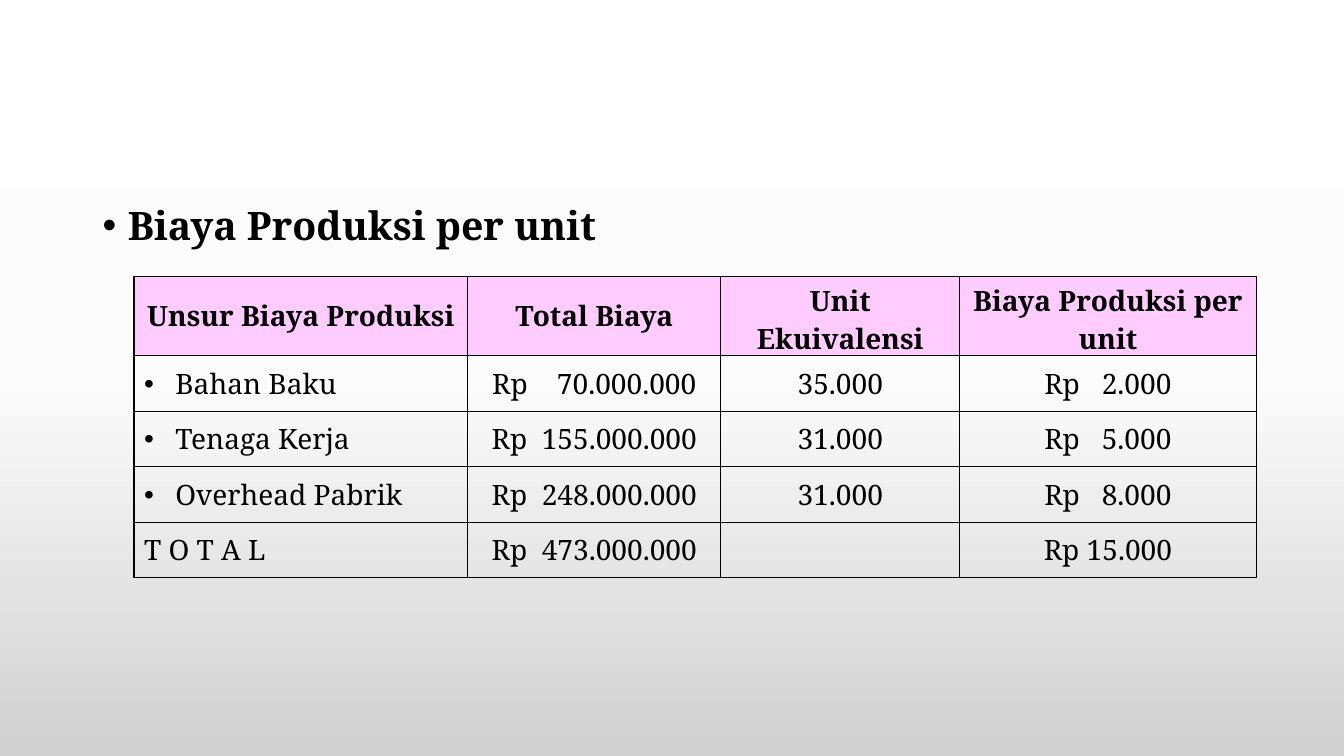
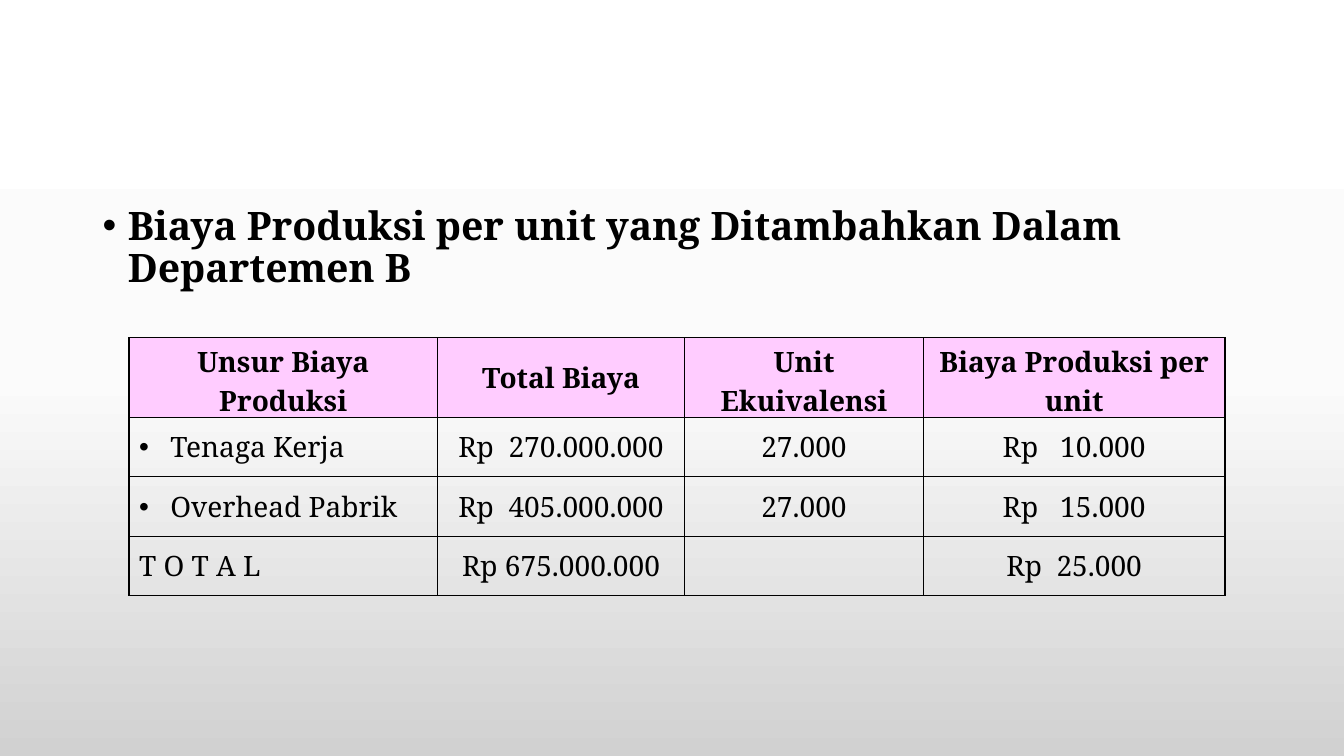
from lxml import etree
from pptx import Presentation
from pptx import util as u
from pptx.dml.color import RGBColor
from pptx.enum import text
from pptx.oxml import ns

PX = 9144  # EMU in one px, 100 px to the inch
FONT = "Noto Serif"
COLORS = {
    "ink": "000000",
    "header": "FFCCFF",
    "sky_top": "FFFFFF",
    "sky_middle": "FBFBFB",
    "sky_bottom": "D1D1D1",
}
HEADING_BOX = (92, 200, 1150, 476)
HEADER_HEIGHT = 79
HEADERS = ["Unsur Biaya Produksi", "Total Biaya", "Unit Ekuivalensi", "Biaya Produksi per unit"]

SLIDES = [
    {
        "heading": "Biaya Produksi per unit",
        "origin": (133, 274),
        "columns": [331, 251, 237, 294],
        "row_height": 55,
        "costs": [
            ["Bahan Baku", "Rp    70.000.000", "35.000", "Rp   2.000"],
            ["Tenaga Kerja", "Rp  155.000.000", "31.000", "Rp   5.000"],
            ["Overhead Pabrik", "Rp  248.000.000", "31.000", "Rp   8.000"],
        ],
        "total": ["T O T A L", "Rp  473.000.000", "", "Rp 15.000"],
    },
    {
        "heading": "Biaya Produksi per unit yang Ditambahkan Dalam Departemen B",
        "origin": (128, 335),
        "columns": [306, 245, 237, 299],
        "row_height": 59,
        "costs": [
            ["Tenaga Kerja", "Rp  270.000.000", "27.000", "Rp   10.000"],
            ["Overhead Pabrik", "Rp  405.000.000", "27.000", "Rp   15.000"],
        ],
        "total": ["T O T A L", "Rp 675.000.000", "", "Rp  25.000"],
    },
]


def px(*lengths):
    return [u.Emu(length * PX) for length in lengths]


def add_element(parent, tag, **attributes):
    return etree.SubElement(parent, ns.qn(tag), attributes)


def set_background(master):
    """Give every slide the vertical three-stop gradient."""
    fill = master.background.fill
    fill.gradient()
    gradient = master.element.find(".//" + ns.qn("a:gradFill"))
    for child in list(gradient):
        gradient.remove(child)
    stops = add_element(gradient, "a:gsLst")
    for percent, name in ((0, "sky_top"), (50, "sky_middle"), (100, "sky_bottom")):
        stop = add_element(stops, "a:gs", pos=str(percent * 1000))
        add_element(stop, "a:srgbClr", val=COLORS[name])
    add_element(gradient, "a:lin", ang="5400000", scaled="0")


def write(frame, words, size=20, bold=False, align=text.PP_ALIGN.LEFT, hanging=0,
          line_spacing=None, before=None):
    """Write one paragraph; a hanging indent in px also gives it a bullet."""
    paragraph = frame.paragraphs[0]
    paragraph.alignment = align
    if line_spacing is not None:
        paragraph.line_spacing = line_spacing
    if before is not None:
        paragraph.space_before = u.Pt(before)
    if hanging:
        properties = paragraph._p.get_or_add_pPr()
        properties.set("marL", str(hanging * PX))
        properties.set("indent", str(-hanging * PX))
        add_element(properties, "a:buFont", typeface="Arial")
        add_element(properties, "a:buChar", char="•")
    run = paragraph.add_run()
    run.text = words
    run.font.name = FONT
    run.font.size = u.Pt(size)
    run.font.bold = bold
    run.font.color.rgb = RGBColor.from_string(COLORS["ink"])


def add_heading(slide, box, words):
    frame = slide.shapes.add_textbox(*px(*box)).text_frame
    frame.word_wrap = True
    write(frame, words, size=28, bold=True, hanging=25, line_spacing=0.9, before=10)


def set_borders(cell):
    properties = cell._tc.get_or_add_tcPr()
    for position, side in enumerate(("a:lnL", "a:lnR", "a:lnT", "a:lnB")):
        line = add_element(properties, side, w=str(u.Pt(1)))
        fill = add_element(line, "a:solidFill")
        add_element(fill, "a:srgbClr", val=COLORS["ink"])
        properties.insert(position, line)


def add_cost_table(slide, origin, columns, row_height, costs, total):
    rows = [HEADERS, *costs, total]
    heights = [HEADER_HEIGHT] + [row_height] * (len(rows) - 1)
    box = px(*origin, sum(columns), sum(heights))
    table = slide.shapes.add_table(len(rows), len(columns), *box).table
    table.horz_banding = False
    for column, width in zip(table.columns, px(*columns)):
        column.width = width
    for row, height in zip(table.rows, px(*heights)):
        row.height = height

    for row_index, values in enumerate(rows):
        is_header = row_index == 0
        is_cost = 0 < row_index <= len(costs)
        for column_index, value in enumerate(values):
            cell = table.cell(row_index, column_index)
            cell.vertical_anchor = text.MSO_ANCHOR.MIDDLE
            if is_header:
                cell.fill.solid()
                cell.fill.fore_color.rgb = RGBColor.from_string(COLORS["header"])
            else:
                cell.fill.background()
            set_borders(cell)
            is_label = column_index == 0 and not is_header
            if value:
                write(cell.text_frame, value, bold=is_header,
                      align=text.PP_ALIGN.LEFT if is_label else text.PP_ALIGN.CENTER,
                      hanging=31 if is_label and is_cost else 0)


def add_cost_slide(presentation, heading, **table):
    slide = presentation.slides.add_slide(presentation.slide_layouts[6])
    add_heading(slide, HEADING_BOX, heading)
    add_cost_table(slide, **table)


def main():
    presentation = Presentation()
    presentation.slide_width, presentation.slide_height = px(1333, 750)
    set_background(presentation.slide_master)
    for content in SLIDES:
        add_cost_slide(presentation, **content)
    presentation.save("out.pptx")


if __name__ == "__main__":
    main()
